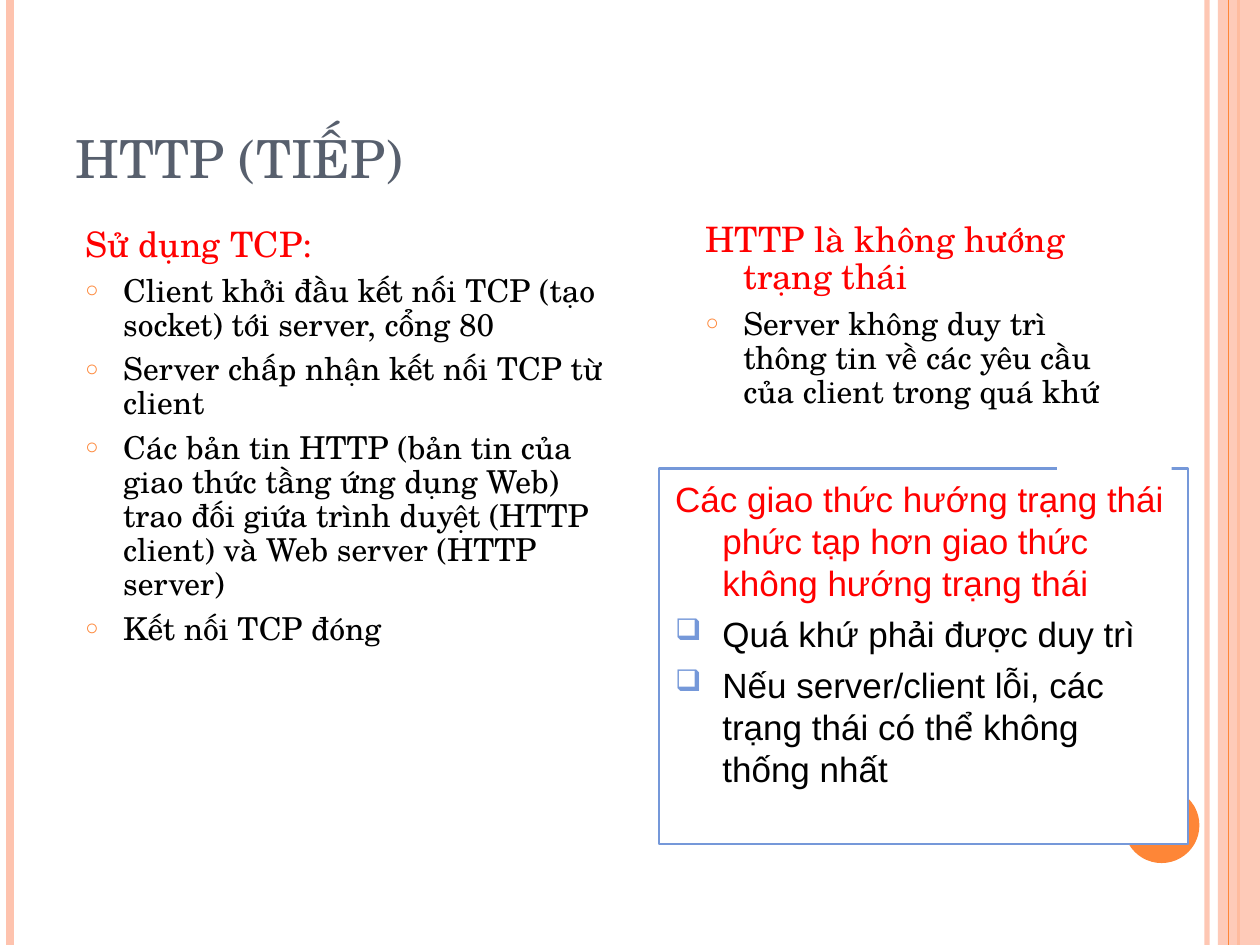
import lxml.etree
import pptx
import pptx.util
import pptx.dml.color
import pptx.enum.shapes
import pptx.enum.text
import pptx.oxml.ns

Pt = pptx.util.Pt
qn = pptx.oxml.ns.qn
KIND = pptx.enum.shapes.MSO_SHAPE
TEXT = pptx.enum.text

SERIF, SANS = "TeX Gyre Schola", "Arial"
PEACH, AMBER, BLUE = "FEC3AE", "FE8637", "7598D9"
RED, BLACK, WHITE, SLATE = "FF0000", "000000", "FFFFFF", "575F6D"

# Format values for the two kinds of list
PLAIN = dict(font=SERIF, sizes=(20, 18), mark="○", tint=AMBER, scale=70,
             hang=21.6, para=dict(line_spacing=0.9), gap=6)
BOXED = dict(font=SANS, sizes=(20, 20), mark="❑", tint=BLUE, scale=85,
             hang=27, para=dict(line_spacing=1.0), gap=5)


def color(code):
    return pptx.dml.color.RGBColor.from_string(code)


def apply(item, form):
    for name, value in form.items():
        setattr(item, name, value)


def place(shape, area):
    names = ("left", "top", "width", "height")
    apply(shape, {name: Pt(size) for name, size in zip(names, area)})


def add_xml(node, tag, **attrs):
    texts = {name: str(value) for name, value in attrs.items()}
    return lxml.etree.SubElement(node, qn(tag), texts)


def fade(shape, share):
    """Set the opacity, in percent, of the shape's first colour."""
    tone = next(shape.element.spPr.iter(qn("a:srgbClr")))
    add_xml(tone, "a:alpha", val=share * 1000)


def add_line(slide, x, code, width):
    line = slide.shapes.add_connector(
        pptx.enum.shapes.MSO_CONNECTOR.STRAIGHT, Pt(x), Pt(0), Pt(x), Pt(540))
    line.line.color.rgb = color(code)
    line.line.width = Pt(width)
    add_xml(line.element.spPr, "a:effectLst")
    return line


def add_block(slide, kind, area, code, edge=None):
    block = slide.shapes.add_shape(kind, *map(Pt, area))
    block.shadow.inherit = False
    block.fill.solid()
    block.fill.fore_color.rgb = color(code)
    if edge:
        block.line.color.rgb = color(edge)
        block.line.width = Pt(1.5)
    else:
        block.line.fill.background()
    return block


def set_font(para, name, size, code):
    apply(para.font, dict(name=name, size=Pt(size), bold=False))
    para.font.color.rgb = color(code)


def set_mark(para, style, shown):
    props = para._p.get_or_add_pPr()
    hang = Pt(style["hang"])
    props.set("marL", str(hang))
    props.set("indent", str(-hang))
    if shown:
        tint = add_xml(props, "a:buClr")
        add_xml(tint, "a:srgbClr", val=style["tint"])
        add_xml(props, "a:buSzPct", val=style["scale"] * 1000)
        add_xml(props, "a:buChar", char=style["mark"])
    else:
        add_xml(props, "a:buNone")


def fill_list(shape, area, style, lines):
    """Write a red heading followed by marked items."""
    place(shape, area)
    frame = shape.text_frame
    apply(frame, dict(word_wrap=True, auto_size=TEXT.MSO_AUTO_SIZE.NONE,
                      vertical_anchor=TEXT.MSO_ANCHOR.TOP))
    frame.text = "\n".join(lines)
    for i, para in enumerate(frame.paragraphs):
        item = i > 0
        set_mark(para, style, item)
        apply(para, dict(style["para"], alignment=TEXT.PP_ALIGN.LEFT,
                         space_before=Pt(style["gap"] if item else 0)))
        set_font(para, style["font"], style["sizes"][item],
                 BLACK if item else RED)


def fill_title(shape, words):
    place(shape, (36, 21.6, 588, 90))
    frame = shape.text_frame
    apply(frame, dict(text=words, word_wrap=True,
                      auto_size=TEXT.MSO_AUTO_SIZE.NONE,
                      vertical_anchor=TEXT.MSO_ANCHOR.BOTTOM))
    para = frame.paragraphs[0]
    para.alignment = TEXT.PP_ALIGN.LEFT
    set_font(para, SERIF, 30, SLATE)


def add_trim(slide):
    """Draw the rails at both edges and the disc."""
    fade(add_line(slide, 689.8, PEACH, 3), 93)
    add_line(slide, 5.8, PEACH, 4.5)
    add_line(slide, 707.8, AMBER, 1.5)
    fade(add_block(slide, KIND.RECTANGLE, (696, 0, 24, 540), PEACH), 87)
    add_line(slide, 702, AMBER, 0.75)
    add_block(slide, KIND.OVAL, (642.2, 450, 43.2, 43.2), AMBER)


def main():
    deck = pptx.Presentation()
    apply(deck, dict(slide_width=Pt(720), slide_height=Pt(540)))
    slide = deck.slides.add_slide(deck.slide_layouts[3])
    title, left, right = slide.placeholders

    # Title and the two lists
    fill_title(title, "HTTP (TIẾP)")
    fill_list(left, (41.6, 126, 312.5, 366), PLAIN, [
        "Sử dụng TCP:",
        "Client khởi đầu kết nối TCP (tạo socket) tới server, cổng 80",
        "Server chấp nhận kết nối TCP từ client",
        "Các bản tin HTTP (bản tin của giao thức tầng ứng dụng Web) trao đối "
        "giứa trình duyệt (HTTP client) và Web server (HTTP server)",
        "Kết nối TCP đóng"])
    fill_list(right, (396, 123.2, 249.8, 119.5), PLAIN, [
        "HTTP là không hướng trạng thái",
        "Server không duy trì thông tin về các yêu cầu của client "
        "trong quá khứ"])

    add_trim(slide)

    # Framed note with a gap in its top edge
    add_block(slide, KIND.RECTANGLE, (376.6, 267.8, 302.4, 214.6), WHITE, BLUE)
    add_block(slide, KIND.RECTANGLE, (604, 255, 65.5, 23), WHITE)
    note = (378.7, 269.3, 295.2, 223.9)
    fill_list(slide.shapes.add_textbox(*map(Pt, note)), note, BOXED, [
        "Các giao thức hướng trạng thái phức tạp hơn giao thức "
        "không hướng trạng thái",
        "Quá khứ phải được duy trì",
        "Nếu server/client lỗi, các trạng thái có thể không thống nhất"])

    deck.save("out.pptx")


if __name__ == "__main__":
    main()
